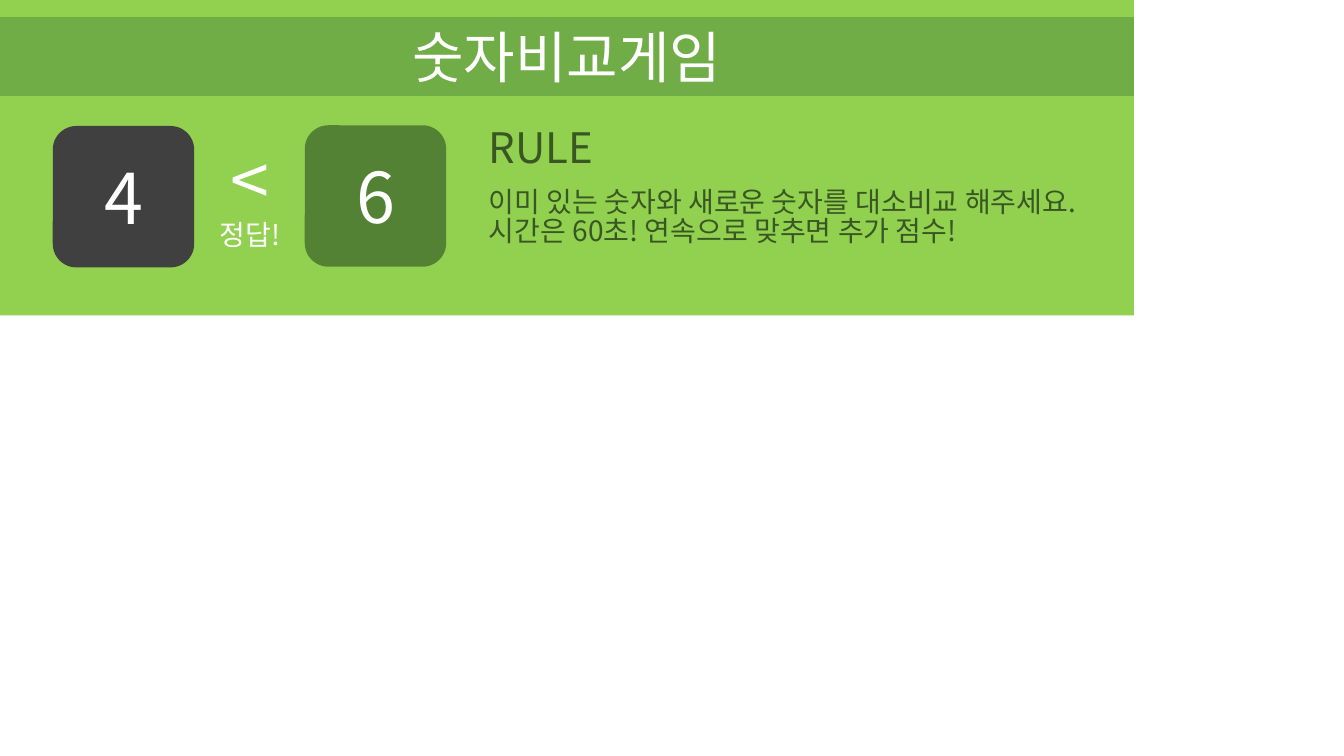
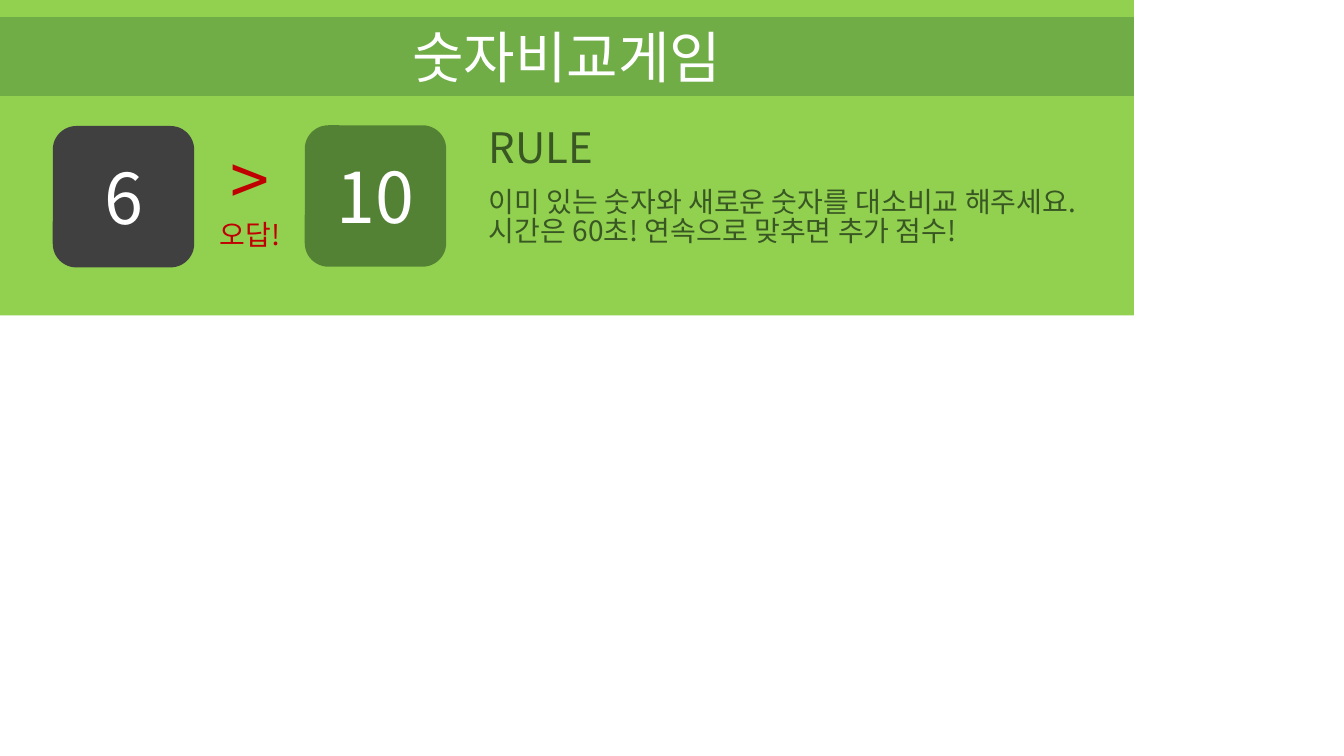
"""Build the two answer slides of a number comparison game."""
import pptx
import pptx.dml.color
import pptx.enum.shapes
import pptx.enum.text
import pptx.oxml.ns
import pptx.util
import lxml.etree

Pt = pptx.util.Pt
ALIGN = pptx.enum.text.PP_ALIGN
ANCHOR = pptx.enum.text.MSO_ANCHOR
SHAPES = pptx.enum.shapes.MSO_SHAPE


def color(value):
    return pptx.dml.color.RGBColor.from_string(value)


def write(frame, lines, sizes, ink, font, align=ALIGN.CENTER,
          anchor=ANCHOR.MIDDLE, spacing=1.0):
    qualify = pptx.oxml.ns.qn
    frame.word_wrap = True
    frame.auto_size = pptx.enum.text.MSO_AUTO_SIZE.NONE
    frame.vertical_anchor = anchor
    for index, (line, size) in enumerate(zip(lines, sizes)):
        para = frame.add_paragraph() if index else frame.paragraphs[0]
        para.alignment = align
        para.line_spacing = spacing
        para.space_before = para.space_after = Pt(0)
        properties = para._p.get_or_add_pPr()
        properties.set("marL", "0")
        properties.set("indent", "0")
        lxml.etree.SubElement(properties, qualify("a:buNone"))
        span = para.add_run()
        span.text = line
        span.font.size = Pt(size)
        span.font.color.rgb = color(ink)
        span.font.name = font
        east = lxml.etree.SubElement(span.font._element, qualify("a:ea"))
        east.set("typeface", font)


class Board:
    font = "Noto Sans CJK KR"
    white = "FFFFFF"
    red = "C00000"
    lime = "92D050"
    band = "70AD47"
    dark = "404040"
    green = "548235"
    forest = "385723"
    tight = 0.88
    width = 810

    def __init__(self, deck):
        self.deck = deck
        self.page = None

    def start(self):
        self.page = self.deck.slides.add_slide(self.deck.slide_layouts[1])

    def place(self, box, left, top, width, height):
        box.left, box.top = Pt(left), Pt(top)
        box.width, box.height = Pt(width), Pt(height)

    def paint(self, box, fill):
        box.fill.solid()
        box.fill.fore_color.rgb = color(fill)
        box.line.fill.background()

    def shape(self, kind, fill, *area):
        box = self.page.shapes.add_shape(kind, *map(Pt, area))
        box.shadow.inherit = False
        self.paint(box, fill)
        return box

    def panel(self):
        box = self.shape(SHAPES.RECTANGLE, self.lime, 0, -0.7, self.width, 226)
        box.element.getparent().insert(2, box.element)

    def title(self, text):
        box = self.page.shapes.title
        self.place(box, 0, 12.3, self.width, 56.2)
        self.paint(box, self.band)
        write(box.text_frame, [text], [40], self.white, self.font)

    def card(self, number, fill, left, top):
        box = self.shape(SHAPES.ROUNDED_RECTANGLE, fill, left, top, 101, 101)
        write(box.text_frame, [number], [50], self.white, self.font)

    def text(self, lines, sizes, ink, area, **style):
        box = self.page.shapes.add_textbox(*map(Pt, area))
        write(box.text_frame, lines, sizes, ink, self.font,
              spacing=self.tight, **style)

    def body(self, lines):
        box = self.page.placeholders[1]
        self.place(box, 342, 131, 468, 55.4)
        write(box.text_frame, lines, [20] * len(lines), self.forest, self.font,
              align=ALIGN.JUSTIFY, anchor=ANCHOR.TOP, spacing=self.tight)


RULES = ["이미 있는 숫자와 새로운 숫자를 대소비교 해주세요.",
         "시간은 60초! 연속으로 맞추면 추가 점수!"]
ROUNDS = [("4", "<", "6", "정답!", Board.white),
          ("6", ">", "10", "오답!", Board.red)]

deck = pptx.Presentation()
deck.slide_width, deck.slide_height = Pt(960), Pt(540)
board = Board(deck)
for known, sign, fresh, verdict, ink in ROUNDS:
    board.start()
    board.panel()
    board.title("숫자비교게임")
    board.card(known, board.dark, 37.7, 90)
    board.card(fresh, board.green, 217.7, 89.5)
    board.text(["RULE"], [30], board.forest, (342, 88, 126, 43.6),
               align=ALIGN.JUSTIFY, anchor=ANCHOR.TOP)
    board.body(RULES)
    board.text([sign, verdict], [50, 20], ink, (139, 113.8, 79, 56.9))
deck.save("out.pptx")
